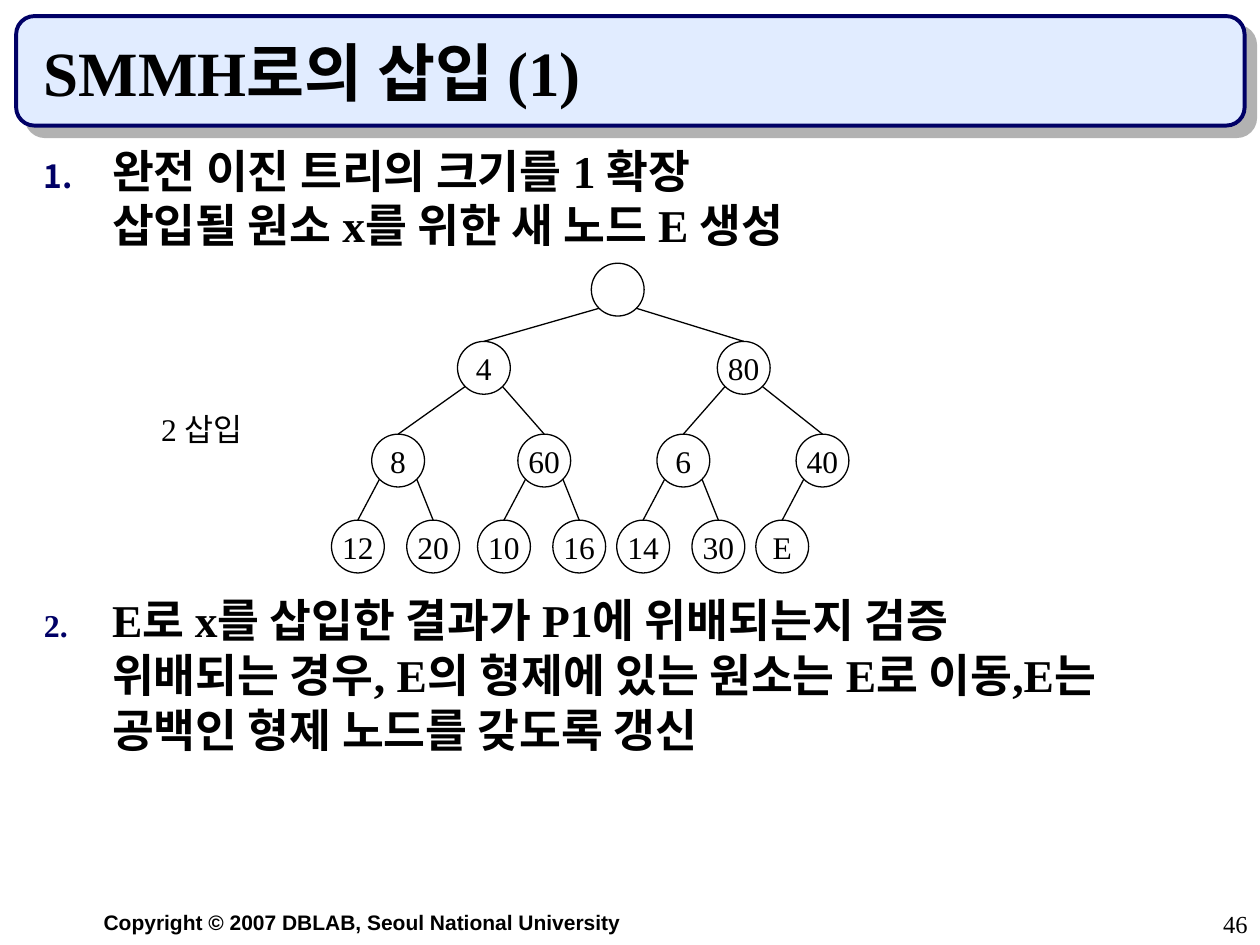
"""Build the slide on inserting an element into an SMMH."""
from math import sqrt

from lxml import etree
from pptx import Presentation
from pptx.dml.color import RGBColor
from pptx.enum.shapes import MSO_CONNECTOR, MSO_SHAPE
from pptx.enum.text import MSO_ANCHOR, PP_ALIGN
from pptx.oxml.ns import qn
from pptx.util import Pt

LEFT, CENTER, RIGHT = PP_ALIGN.LEFT, PP_ALIGN.CENTER, PP_ALIGN.RIGHT
TOP, MIDDLE, BOTTOM = MSO_ANCHOR.TOP, MSO_ANCHOR.MIDDLE, MSO_ANCHOR.BOTTOM
ELLIPSE, ROUNDED = MSO_SHAPE.OVAL, MSO_SHAPE.ROUNDED_RECTANGLE
STRAIGHT = MSO_CONNECTOR.STRAIGHT

THEME = {
    "text": "000000", "navy": "000066", "banner": "E1ECFF", "shadow": "B2B2B2",
    "serif": "Times New Roman", "sans": "Arial",
    "title": 36, "body": 26, "node": 18, "page": 14, "footer": 12,
}

TITLE = "SMMH로의 삽입 (1)"
STEPS = [
    (78, 140, "완전 이진 트리의 크기를 1 확장\n삽입될 원소 x를 위한 새 노드 E 생성"),
    (335, 162, "E로 x를 삽입한 결과가 P1에 위배되는지 검증\n"
               "위배되는 경우, E의 형제에 있는 원소는 E로 이동,E는 공백인 형제 노드를 갖도록 갱신"),
]
INSERTION = "2 삽입"
FOOTER = "Copyright © 2007 DBLAB, Seoul National University"
PAGE = "46"

HEAP = ["", "4", "80", "8", "60", "6", "40", "12", "20", "10", "16", "14", "30", "E"]
INNER_X = [353, 276.5, 425, 227.5, 311, 390.5, 470]
LEVEL_Y = [165.5, 210.2, 263.2, 312.3]
LEAF_OFFSETS = (-23, 20)
RADIUS = 15.1
INDENT = 39


def rgb(name):
    return RGBColor.from_string(THEME[name])


def write(sp, text, size="node", font="serif", bold=False, align=LEFT,
          anchor=TOP, wrap=True, number=None):
    tf = sp.text_frame
    tf.word_wrap = wrap
    tf.vertical_anchor = anchor
    p = tf.paragraphs[0]
    p.text = text
    p.alignment = align
    if number:
        add_number(p, number)
    for r in p.runs:
        r.font.size = Pt(THEME[size])
        r.font.name = THEME[font]
        r.font.bold = bold
        r.font.color.rgb = rgb("text")


def add_number(p, number):
    pPr = p._p.get_or_add_pPr()
    pPr.set("marL", str(Pt(INDENT)))
    pPr.set("indent", str(-Pt(INDENT)))
    color = etree.SubElement(pPr, qn("a:buClr"))
    etree.SubElement(color, qn("a:srgbClr"), val=THEME["navy"])
    etree.SubElement(pPr, qn("a:buSzPct"), val="70000")
    etree.SubElement(pPr, qn("a:buFont"), typeface=THEME["serif"])
    etree.SubElement(pPr, qn("a:buAutoNum"), type="arabicPeriod", startAt=str(number))


def add_text(s, box, text, **fmt):
    write(s.shapes.add_textbox(*map(Pt, box)), text, **fmt)


def add_banner(s):
    sp = s.shapes.add_shape(ROUNDED, Pt(9.2), Pt(9.2), Pt(702), Pt(62.6))
    sp.fill.solid()
    sp.fill.fore_color.rgb = rgb("banner")
    sp.line.color.rgb = rgb("navy")
    sp.line.width = Pt(2.25)
    sp.shadow.inherit = False
    effects = sp._element.spPr.find(qn("a:effectLst"))
    shadow = etree.SubElement(effects, qn("a:outerShdw"), blurRad="0",
                              dist=str(Pt(8.5)), dir="2700000", algn="ctr")
    etree.SubElement(shadow, qn("a:srgbClr"), val=THEME["shadow"])


def node_centers():
    centers = []
    for i in range(len(HEAP)):
        level = (i + 1).bit_length() - 1
        if i < len(INNER_X):
            x = INNER_X[i]
        else:
            x = INNER_X[(i - 1) // 2] + LEAF_OFFSETS[(i - 1) % 2]
        centers.append((x, LEVEL_Y[level]))
    return centers


def add_node(s, center, label):
    x, y = center
    sp = s.shapes.add_shape(ELLIPSE, Pt(x - RADIUS), Pt(y - RADIUS),
                            Pt(2 * RADIUS), Pt(2 * RADIUS))
    sp.shadow.inherit = False
    sp.fill.background()
    sp.line.color.rgb = rgb("text")
    sp.line.width = Pt(0.75)
    if label:
        write(sp, label, align=CENTER, anchor=MIDDLE, wrap=False)


def add_edge(s, parent, child):
    reach = RADIUS / sqrt(2)
    side = reach if child[0] > parent[0] else -reach
    line = s.shapes.add_connector(STRAIGHT, Pt(parent[0] + side), Pt(parent[1] + reach),
                                  Pt(child[0]), Pt(child[1] - RADIUS))
    line.line.color.rgb = rgb("text")
    line.line.width = Pt(0.75)
    etree.SubElement(line._element.spPr, qn("a:effectLst"))


def main():
    prs = Presentation()
    prs.slide_width, prs.slide_height = Pt(720), Pt(540)
    s = prs.slides.add_slide(prs.slide_layouts[6])

    add_banner(s)
    add_text(s, (18, 516, 378, 21.6), FOOTER, size="footer", font="sans",
             bold=True, align=CENTER)
    add_text(s, (18, 18, 678, 48), TITLE, size="title", bold=True, anchor=BOTTOM)
    for number, (top, height, text) in enumerate(STEPS, 1):
        add_text(s, (18, top, 678, height), text, size="body", bold=True, number=number)

    centers = node_centers()
    for i, label in enumerate(HEAP):
        add_node(s, centers[i], label)
        if i:
            add_edge(s, centers[(i - 1) // 2], centers[i])

    add_text(s, (85, 230.5, 65, 29), INSERTION, wrap=False)
    add_text(s, (570, 516, 150, 24), PAGE, size="page", align=RIGHT)
    prs.save("out.pptx")


if __name__ == "__main__":
    main()
